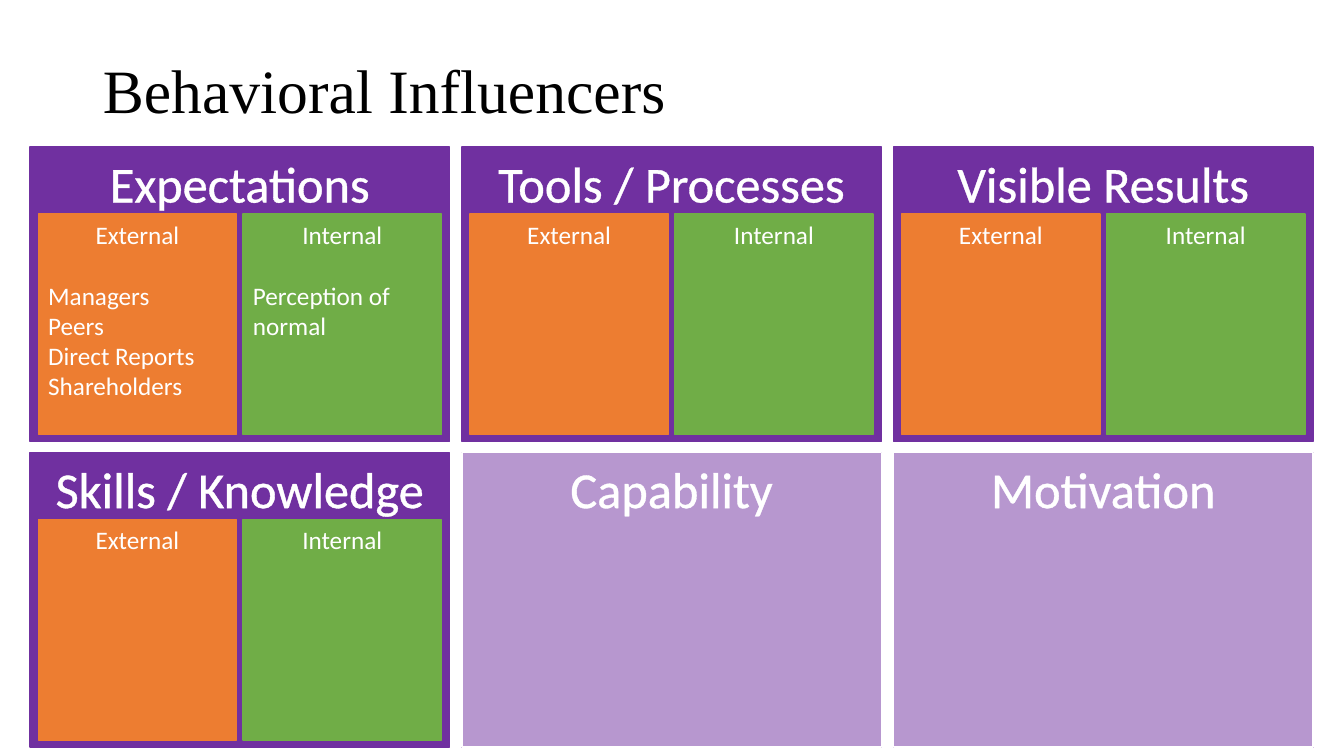
from lxml import etree
from pptx import Presentation
from pptx.dml.color import RGBColor
from pptx.enum.shapes import MSO_SHAPE
from pptx.enum.text import MSO_ANCHOR, PP_ALIGN
from pptx.oxml.ns import qn
from pptx.util import Cm, Pt

COLORS = {
    "title": "000000",
    "influencer": "7030A0",
    "external": "ED7D31",
    "internal": "70AD47",
    "white": "FFFFFF",
}
INFLUENCERS = [
    ("Expectations", {
        "External": ["Managers", "Peers", "Direct Reports", "Shareholders"],
        "Internal": ["Perception of normal"],
    }),
    ("Tools / Processes", {"External": [], "Internal": []}),
    ("Visible Results", {"External": [], "Internal": []}),
    ("Skills / Knowledge", {"External": [], "Internal": []}),
    ("Capability", None),
    ("Motivation", None),
]
COLUMNS = 3
PANEL_W, PANEL_H = 10.57, 7.42
PITCH_X, PITCH_Y = 10.88, 7.7
GRID_LEFT, GRID_TOP = 0.76, 3.71
HALF_W, HALF_H, HALF_PITCH, HALF_TOP = 5.0, 5.56, 5.16, 1.68


def rgb(name):
    return RGBColor.from_string(COLORS[name])


def style_run(run, size, color, font="Calibri"):
    run.font.size = Pt(size)
    run.font.name = font
    run.font.color.rgb = rgb(color)


def outline_run(run):
    """Draw a thin white outline around the letters."""
    line = etree.Element(qn("a:ln"), w=str(Pt(0.75)))
    fill = etree.SubElement(line, qn("a:solidFill"))
    etree.SubElement(fill, qn("a:srgbClr"), val=COLORS["white"])
    run.font._element.insert(0, line)


def add_block(slide, left, top, width, height, color):
    block = slide.shapes.add_shape(
        MSO_SHAPE.RECTANGLE, Cm(left), Cm(top), Cm(width), Cm(height))
    block.shadow.inherit = False
    block.fill.solid()
    block.fill.fore_color.rgb = rgb(color)
    block.line.color.rgb = rgb(color)
    block.line.width = Pt(1)
    block.text_frame.vertical_anchor = MSO_ANCHOR.TOP
    return block


def add_title(slide, text):
    title = slide.shapes.title
    title.left, title.top, title.width, title.height = (
        Cm(2.34), Cm(0.51), Cm(29.21), Cm(3.68))
    title.text_frame.text = text
    title.text_frame.vertical_anchor = MSO_ANCHOR.MIDDLE
    heading = title.text_frame.paragraphs[0]
    heading.alignment = PP_ALIGN.LEFT
    heading.line_spacing = 0.9
    style_run(heading.runs[0], 44, "title", "Times New Roman")


def add_half(slide, left, top, heading, examples):
    half = add_block(slide, left, top, HALF_W, HALF_H, heading.lower())
    half.text_frame.text = "\n".join([heading, *examples])
    for paragraph in half.text_frame.paragraphs:
        paragraph.alignment = PP_ALIGN.LEFT
        style_run(paragraph.runs[0], 18, "white")
    first = half.text_frame.paragraphs[0]
    first.alignment = PP_ALIGN.CENTER
    if examples:
        first.space_after = Pt(22)


def add_veil(slide, left, top):
    """Fade a panel with a half-transparent white cover."""
    veil = add_block(slide, left, top, PANEL_W, PANEL_H, "white")
    tint = veil.fill._xPr.find(qn("a:solidFill"))[0]
    etree.SubElement(tint, qn("a:alpha"), val="50000")


def add_influencer(slide, left, top, name, halves):
    panel = add_block(slide, left, top, PANEL_W, PANEL_H, "influencer")
    panel.text_frame.text = name
    heading = panel.text_frame.paragraphs[0]
    heading.alignment = PP_ALIGN.CENTER
    style_run(heading.runs[0], 36, "white")
    outline_run(heading.runs[0])
    if halves is None:
        add_veil(slide, left, top)
        return
    margin = (PANEL_W - HALF_PITCH - HALF_W) / 2
    for i, (side, examples) in enumerate(halves.items()):
        add_half(slide, left + margin + i * HALF_PITCH, top + HALF_TOP,
                 side, examples)


def main():
    prs = Presentation()
    prs.slide_width, prs.slide_height = Cm(33.87), Cm(19.05)
    slide = prs.slides.add_slide(prs.slide_layouts[5])
    add_title(slide, "Behavioral Influencers")
    for i, (name, halves) in enumerate(INFLUENCERS):
        row, column = divmod(i, COLUMNS)
        add_influencer(slide, GRID_LEFT + column * PITCH_X,
                       GRID_TOP + row * PITCH_Y, name, halves)
    prs.save("out.pptx")


if __name__ == "__main__":
    main()
